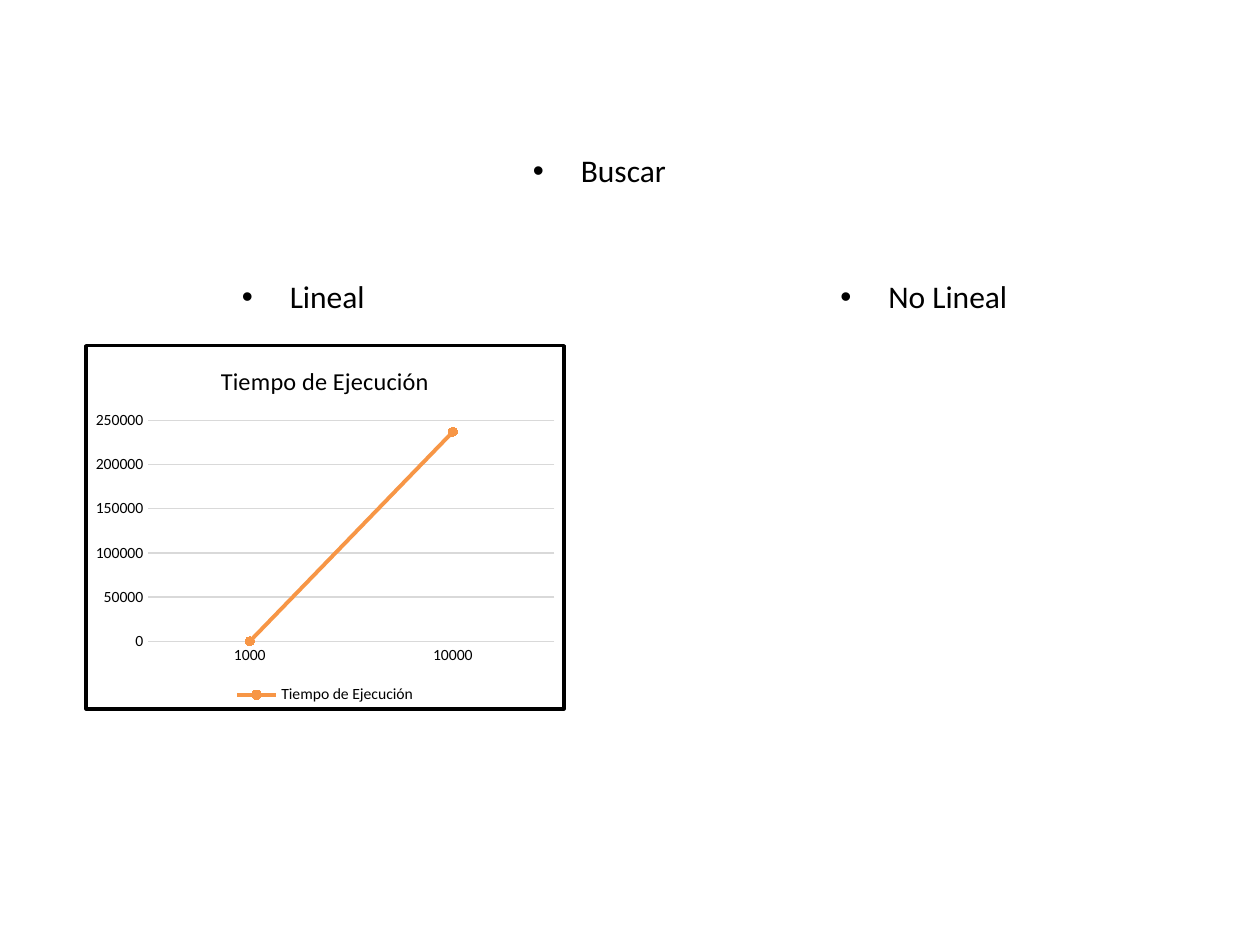
import pptx
import pptx.util
import pptx.oxml
import pptx.chart.data
import pptx.dml.color
import pptx.enum.chart
import pptx.enum.text

Inches = pptx.util.Inches
Pt = pptx.util.Pt
BLACK = pptx.dml.color.RGBColor(0x00, 0x00, 0x00)
GREY = pptx.dml.color.RGBColor(0xD9, 0xD9, 0xD9)
ORANGE = pptx.dml.color.RGBColor(0xF7, 0x96, 0x46)
FACE = "Calibri"
NAME = "Tiempo de Ejecución"
NS = ('xmlns:a="http://schemas.openxmlformats.org/drawingml/2006/main" '
      'xmlns:c="http://schemas.openxmlformats.org/drawingml/2006/chart"')


def style(font, size):
    font.name = FACE
    font.size = Pt(size)
    font.bold = False
    font.color.rgb = BLACK


deck = pptx.Presentation()
deck.slide_width = Inches(10)
deck.slide_height = Inches(7.5)
slide = deck.slides.add_slide(deck.slide_layouts[4])

labels = [("Lineal", 1.82, 2.15), ("No Lineal", 6.57, 2.15), ("Buscar", 4.13, 1.15)]
holders = list(slide.placeholders)
for holder, (text, left, top) in zip(holders[1:], labels):
    holder.left, holder.top = Inches(left), Inches(top)
    holder.width, holder.height = Inches(3.04), Inches(0.75)
    frame = holder.text_frame
    frame.word_wrap = True
    frame.vertical_anchor = pptx.enum.text.MSO_ANCHOR.TOP
    para = frame.paragraphs[0]
    run = para.add_run()
    run.text = text
    style(run.font, 18)
    props = para._p.get_or_add_pPr()
    props.set("marL", str(Inches(0.38)))
    props.set("indent", str(Inches(-0.38)))
    for mark in ('<a:buFont %s typeface="Arial"/>', '<a:buChar %s char="•"/>'):
        props.append(pptx.oxml.parse_xml(mark % NS))
for holder in (holders[0], holders[4]):
    holder.element.getparent().remove(holder.element)

data = pptx.chart.data.CategoryChartData()
data.categories = ["1000", "10000"]
data.add_series(NAME, (0, 237000))
chart = slide.shapes.add_chart(
    pptx.enum.chart.XL_CHART_TYPE.LINE_MARKERS,
    Inches(0.67), Inches(2.73), Inches(3.82), Inches(2.91), data).chart
style(chart.font, 10)

chart.has_title = True
run = chart.chart_title.text_frame.paragraphs[0].add_run()
run.text = NAME
style(run.font, 14)
chart.chart_title.include_in_layout = False

chart.has_legend = True
chart.legend.position = pptx.enum.chart.XL_LEGEND_POSITION.BOTTOM
chart.legend.include_in_layout = False
style(chart.legend.font, 9)

for axis in (chart.category_axis, chart.value_axis):
    axis.major_tick_mark = pptx.enum.chart.XL_TICK_MARK.NONE
    axis.minor_tick_mark = pptx.enum.chart.XL_TICK_MARK.NONE
    style(axis.tick_labels.font, 9)

values = chart.value_axis
values.minimum_scale, values.maximum_scale, values.major_unit = 0, 250000, 50000
values.format.line.fill.background()
values.has_major_gridlines = True
for line in (chart.category_axis.format.line, values.major_gridlines.format.line):
    line.color.rgb = GREY
    line.width = Pt(0.75)

plot = chart.plots[0]
plot.vary_by_categories = False
series = plot.series[0]
series.smooth = False
series.format.line.color.rgb = ORANGE
series.format.line.width = Pt(2.25)
marker = series.marker
marker.style = pptx.enum.chart.XL_MARKER_STYLE.CIRCLE
marker.size = 5
marker.format.fill.solid()
marker.format.fill.fore_color.rgb = ORANGE
marker.format.line.color.rgb = ORANGE

border = pptx.oxml.parse_xml(
    f'<c:spPr {NS}><a:solidFill><a:srgbClr val="FFFFFF"/></a:solidFill>'
    f'<a:ln w="{Pt(2)}"><a:solidFill><a:srgbClr val="{BLACK}"/></a:solidFill>'
    '<a:round/></a:ln></c:spPr>')
chart.element.chart.addnext(border)

deck.save("out.pptx")
